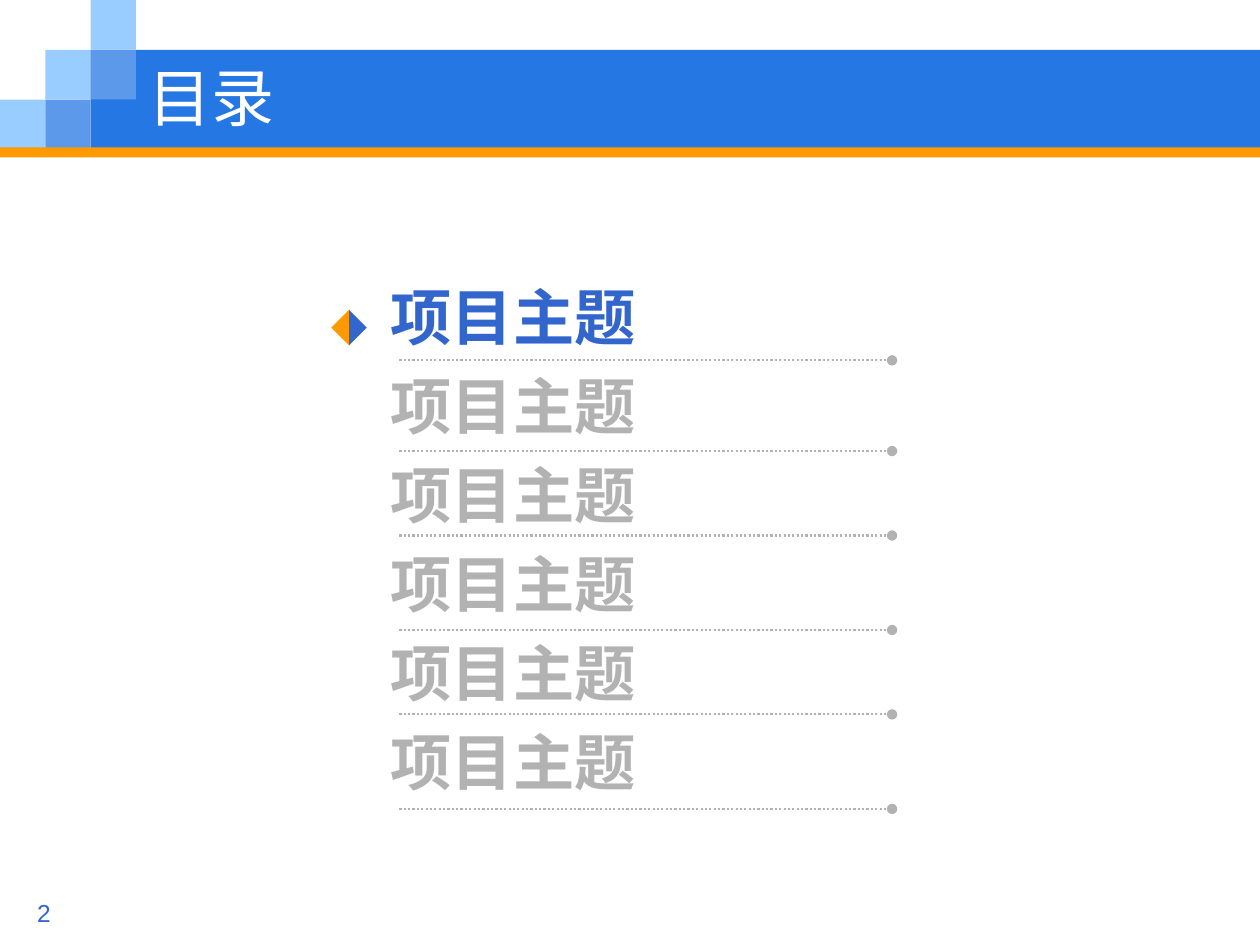
from lxml import etree
from pptx import Presentation
from pptx.dml.color import RGBColor
from pptx.enum.dml import MSO_LINE
from pptx.enum.shapes import MSO_CONNECTOR, MSO_SHAPE
from pptx.enum.text import MSO_ANCHOR, MSO_AUTO_SIZE, PP_ALIGN
from pptx.oxml.ns import qn
from pptx.util import Inches, Pt

RECT, TRIANGLE = MSO_SHAPE.RECTANGLE, MSO_SHAPE.RIGHT_TRIANGLE
BAND, SKY, OVERLAP = "2577E3", "99CCFF", "5C99EA"
ORANGE, BLUE, GREY = "FF9900", "3366CC", "B2B2B2"
WIDTH, HEIGHT = 10, 7.5
STEP_W, STEP_H = 0.36, 0.395  # grid of the header staircase

TOPICS = ["项目主题"] * 6
RULE_TOPS = [2.86, 3.58, 4.25, 5, 5.67, 6.42]


def rgb(color):
    return RGBColor.from_string(color)


def add_block(slide, kind, box, color, rotation=0):
    block = slide.shapes.add_shape(kind, *map(Inches, box))
    block.fill.solid()
    block.fill.fore_color.rgb = rgb(color)
    block.line.fill.background()
    block.shadow.inherit = False
    block.rotation = rotation


def add_step(slide, column, row, color):
    box = (column * STEP_W, row * STEP_H, STEP_W, STEP_H)
    add_block(slide, RECT, box, color)


def add_rule(slide, top):
    """Dotted line ending in a round dot."""
    left, right = Inches(3.17), Inches(7.08)
    rule = slide.shapes.add_connector(
        MSO_CONNECTOR.STRAIGHT, left, Inches(top), right, Inches(top))
    rule.line.color.rgb = rgb(GREY)
    rule.line.width = Pt(1.25)
    rule.line.dash_style = MSO_LINE.ROUND_DOT
    etree.SubElement(rule.line._get_or_add_ln(), qn("a:tailEnd"), type="oval")
    etree.SubElement(rule.element.spPr, qn("a:effectLst"))


def place(shape, box):
    shape.left, shape.top, shape.width, shape.height = map(Inches, box)


def style(paragraph, size, color, font, bold=False):
    for run in paragraph.runs:
        run.font.size, run.font.bold = Pt(size), bold
        run.font.color.rgb = rgb(color)
        run.font.name = font
        etree.SubElement(run.font._element, qn("a:ea"), typeface=font)


def add_header(slide):
    band_left = 2 * STEP_W
    add_block(slide, RECT, (band_left, STEP_H, WIDTH - band_left, 2 * STEP_H), BAND)
    for column in range(3):
        add_step(slide, column, 2 - column, SKY)
    for column in (1, 2):
        add_step(slide, column, 3 - column, OVERLAP)
    add_block(slide, RECT, (0, 1.17, WIDTH, 0.08), ORANGE)


def fill_title(slide, text):
    title = slide.shapes.title
    slide.shapes.element.append(title.element)  # in front of the band
    place(title, (1.08, 0.5, 8.08, 0.53))
    frame = title.text_frame
    frame.text = text
    frame.auto_size = MSO_AUTO_SIZE.NONE
    frame.vertical_anchor = MSO_ANCHOR.MIDDLE
    frame.paragraphs[0].alignment = PP_ALIGN.LEFT
    style(frame.paragraphs[0], 36, "FFFFFF", "Noto Sans CJK SC")


def fill_agenda(slide, topics, current):
    agenda = slide.placeholders[1]
    place(agenda, (3, 2.17, 3.25, 4.21))
    frame = agenda.text_frame
    frame.text = "\n".join(topics)
    frame.auto_size = MSO_AUTO_SIZE.SHAPE_TO_FIT_TEXT
    for index, topic in enumerate(frame.paragraphs):
        properties = topic._p.get_or_add_pPr()
        properties.set("marL", "0")
        properties.set("indent", "0")
        etree.SubElement(properties, qn("a:buNone"))
        topic.space_before, topic.space_after = Pt(0), Pt(8.8)
        style(topic, 35, BLUE if index == current else GREY, "Arial", bold=True)


def add_marker(slide):
    """Two-tone diamond made of two turned triangles."""
    for color, rotation in ((ORANGE, 45), (BLUE, 225)):
        add_block(slide, TRIANGLE, (2.67, 2.5, 0.2, 0.2), color, rotation)


def add_page_number(slide, number):
    box = slide.shapes.add_textbox(*map(Inches, (-0.08, 7.08, 0.58, 0.35)))
    box.text_frame.word_wrap = True
    box.text_frame.text = str(number)
    paragraph = box.text_frame.paragraphs[0]
    paragraph.alignment = PP_ALIGN.RIGHT
    style(paragraph, 14, BLUE, "Arial")


def main():
    deck = Presentation()
    deck.slide_width, deck.slide_height = Inches(WIDTH), Inches(HEIGHT)
    slide = deck.slides.add_slide(deck.slide_layouts[1])

    # Header and footer
    add_header(slide)
    add_page_number(slide, 2)
    fill_title(slide, "目录")

    # Agenda with the current topic marked
    add_marker(slide)
    fill_agenda(slide, TOPICS, current=0)
    for top in RULE_TOPS:
        add_rule(slide, top)

    deck.save("out.pptx")


if __name__ == "__main__":
    main()
